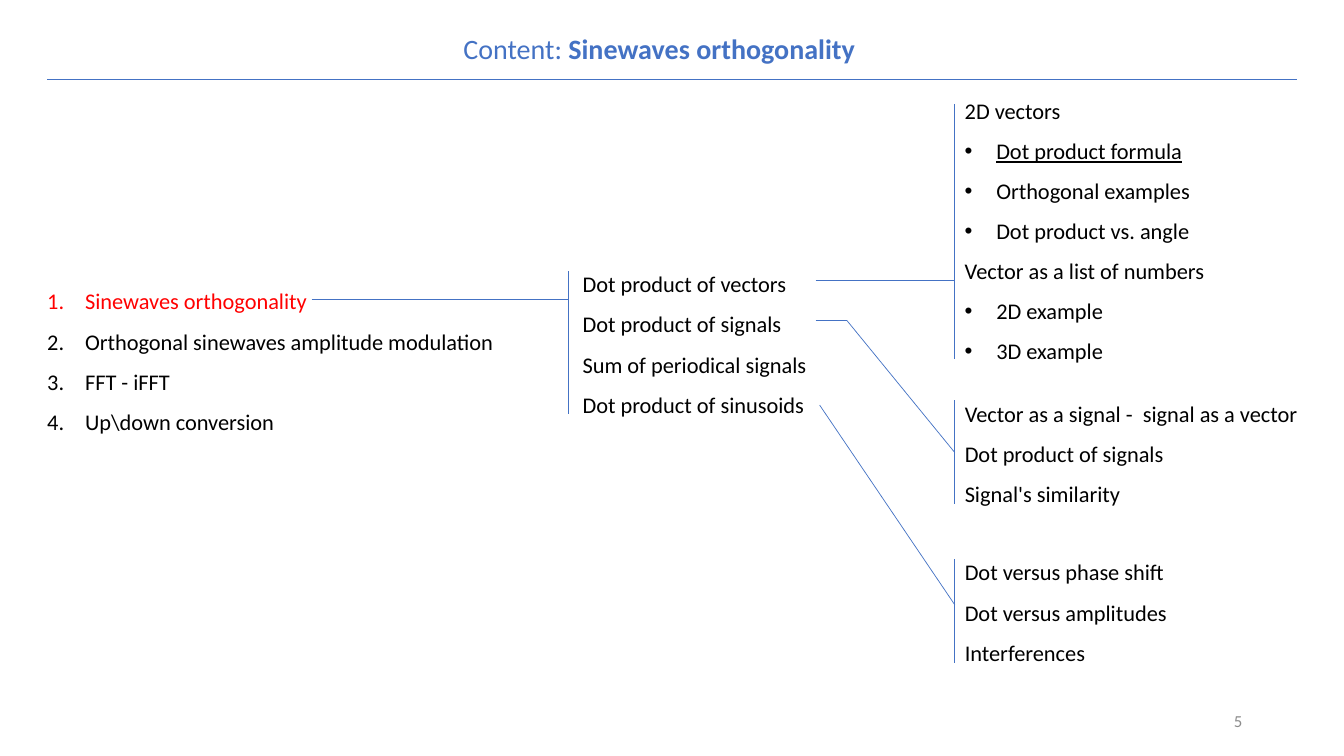
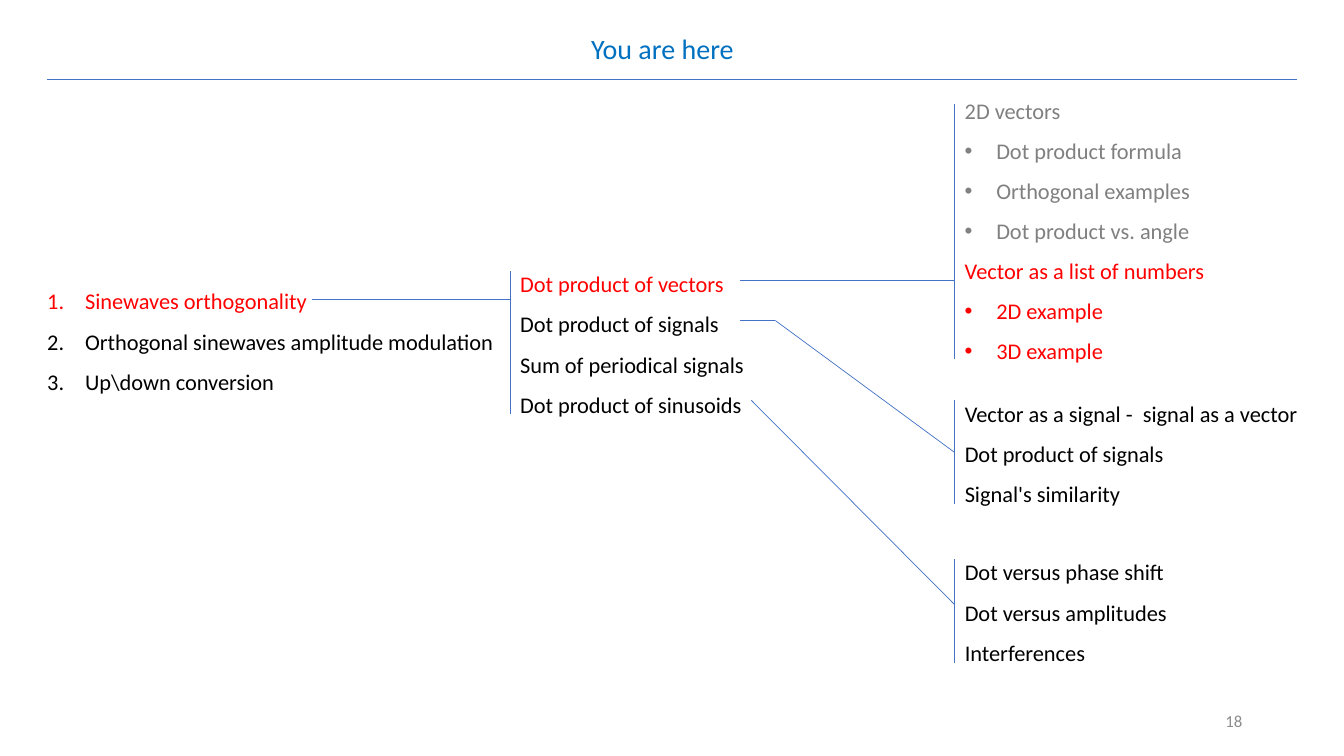
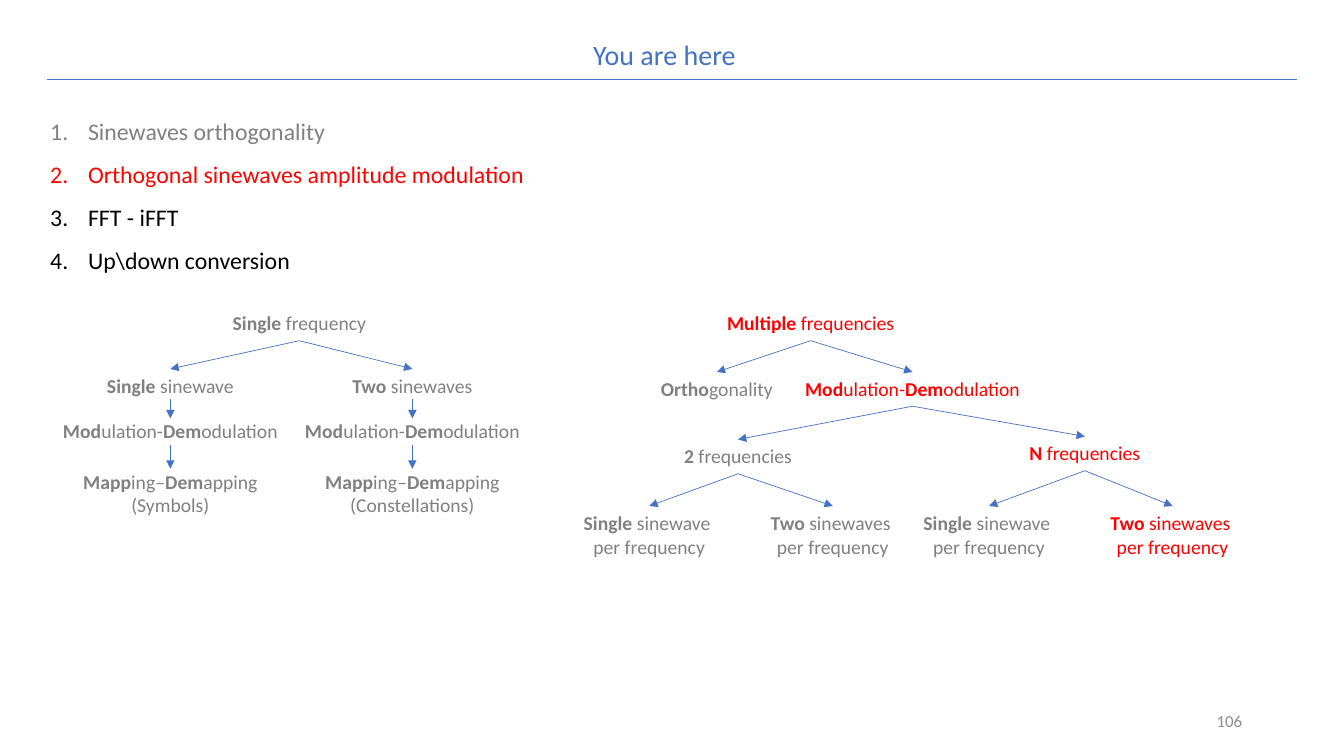
from collections import namedtuple
from dataclasses import dataclass
from itertools import pairwise

from lxml import etree
from pptx import Presentation
from pptx.dml.color import RGBColor
from pptx.enum.shapes import MSO_CONNECTOR
from pptx.enum.text import MSO_ANCHOR, MSO_AUTO_SIZE, PP_ALIGN
from pptx.oxml.ns import qn
from pptx.util import Inches, Pt

STRAIGHT = MSO_CONNECTOR.STRAIGHT
TOP, MIDDLE = MSO_ANCHOR.TOP, MSO_ANCHOR.MIDDLE
NO_FIT = MSO_AUTO_SIZE.NONE
LEFT, CENTER, RIGHT = PP_ALIGN.LEFT, PP_ALIGN.CENTER, PP_ALIGN.RIGHT
TITLE_ONLY = 5
COLUMNS, ROWS = 133.3, 75
CELL = Inches(0.1)


@dataclass(frozen=True)
class Theme:
    font: str = "Calibri"
    accent: str = "4472C4"
    here: str = "0070C0"
    active: str = "FF0000"
    done: str = "808080"
    ink: str = "000000"
    page: str = "8C8C8C"
    title_size: int = 20
    agenda_size: int = 17
    body_size: int = 16
    node_size: int = 14
    page_size: int = 12
    rule: float = 0.5
    hairline: float = 0.25


THEME = Theme()
LOOSE = {"spacing": 1.5}
SPACED = {"spacing": 1.07, "after": 8}
NUMBERED = {"indent": 3.75, "bullet": ("buAutoNum", "type", "arabicPeriod")}
DOTTED = {"indent": 3.13, "bullet": ("buChar", "char", "•")}

Branch = namedtuple("Branch", "text center top width active children", defaults=(False, ()))


def cells(*counts):
    return [round(count * CELL) for count in counts]


def write(frame, text, size=THEME.body_size, color=THEME.ink, align=LEFT, spacing=1.0,
          after=0, indent=0, bullet=None, underline=False):
    """Add one paragraph; parts between asterisks are bold."""
    first = frame.paragraphs[0]
    paragraph = frame.add_paragraph() if first.runs else first
    if bullet:
        tag, key, value = bullet
        properties = paragraph._p.get_or_add_pPr()
        margin = cells(indent)[0]
        properties.set("marL", str(margin))
        properties.set("indent", str(-margin))
        if tag == "buChar":
            etree.SubElement(properties, qn("a:buFont")).set("typeface", "Arial")
        etree.SubElement(properties, qn(f"a:{tag}")).set(key, value)
    paragraph.alignment = align
    paragraph.line_spacing = spacing
    paragraph.space_after = Pt(after)
    for order, part in enumerate(text.split("*")):
        if part:
            run = paragraph.add_run()
            run.text = part
            run.font.name = THEME.font
            run.font.size = Pt(size)
            run.font.bold = order % 2 == 1
            run.font.underline = underline
            run.font.color.rgb = RGBColor.from_string(color)


class Deck:
    def __init__(self, theme):
        self.theme = theme
        self.show = Presentation()
        self.show.slide_width, self.show.slide_height = cells(COLUMNS, ROWS)
        self.slide = None

    def start(self, title, number, color, left=3.7, top=2.4):
        theme = self.theme
        self.slide = self.show.slides.add_slide(self.show.slide_layouts[TITLE_ONLY])
        heading = self.slide.shapes.title
        heading.left, heading.top, heading.width, heading.height = cells(left, top, 124, 4.5)
        self.prepare(heading.text_frame, TOP)
        write(heading.text_frame, title, size=theme.title_size, color=color, align=CENTER, **SPACED)
        self.trace((4.7, 7.9), (128.6, 7.9))
        write(self.box(94.2, 69.5, 30, 4, MIDDLE), str(number), size=theme.page_size,
              color=theme.page, align=RIGHT)

    def prepare(self, frame, anchor):
        frame.word_wrap = True
        frame.auto_size = NO_FIT
        frame.vertical_anchor = anchor

    def box(self, left, top, width, height, anchor=TOP):
        frame = self.slide.shapes.add_textbox(*cells(left, top, width, height)).text_frame
        self.prepare(frame, anchor)
        return frame

    def listing(self, area, items, colors, size=THEME.body_size, underlined=(), **style):
        frame = self.box(*area)
        for item in items:
            dotted = DOTTED if item.startswith("•") else {}
            label = item.removeprefix("•")
            write(frame, label, size=size, color=colors.get(label, self.theme.ink),
                  underline=label in underlined, **{**style, **dotted})

    def trace(self, *points, arrow=False, weight=THEME.rule):
        for start, end in pairwise(points):
            line = self.slide.shapes.add_connector(STRAIGHT, *cells(*start, *end))
            line.line.color.rgb = RGBColor.from_string(self.theme.accent)
            line.line.width = Pt(weight)
            if arrow:
                etree.SubElement(line.line._get_or_add_ln(), qn("a:tailEnd")).set("type", "triangle")
            etree.SubElement(line._element.spPr, qn("a:effectLst"))

    def tree(self, branch):
        theme = self.theme
        lines = branch.text.split("\n")
        height = 3.4 if len(lines) == 1 else 5.7
        frame = self.box(branch.center - branch.width / 2, branch.top, branch.width, height)
        for line in lines:
            write(frame, line, size=theme.node_size, align=CENTER,
                  color=theme.active if branch.active else theme.done)
        chained = len(branch.children) == 1
        overlap = 0.4 if chained else 0
        for child in branch.children:
            self.trace((branch.center, branch.top + height - overlap),
                       (child.center, child.top + overlap),
                       arrow=True, weight=theme.hairline if chained else theme.rule)
            self.tree(child)


CHAPTERS = ["Sinewaves orthogonality", "Orthogonal sinewaves amplitude modulation",
            "FFT - iFFT", "Up\\down conversion"]
TOPICS = ["Dot product of vectors", "Dot product of signals",
          "Sum of periodical signals", "Dot product of sinusoids"]
VECTORS = ["2D vectors", "•Dot product formula", "•Orthogonal examples",
           "•Dot product vs. angle", "Vector as a list of numbers", "•2D example", "•3D example"]
SIGNALS = ["Vector as a signal -  signal as a vector", "Dot product of signals",
           "Signal's similarity"]
SINUSOIDS = ["Dot versus phase shift", "Dot versus amplitudes", "Interferences"]
DETAIL_LEFT = 94.7


def outline(deck, chapters, colors, topics_left, bracket, links, underlined=()):
    deck.listing((3.7, 26.7, 46.7, 4 * len(chapters) + 0.7), chapters, colors, **LOOSE, **NUMBERED)
    deck.listing((topics_left, 25, 37, 16.7), TOPICS, colors, **LOOSE)
    deck.listing((DETAIL_LEFT, 9, 26.7, 27.8), VECTORS, colors, underlined=underlined, **SPACED)
    deck.listing((DETAIL_LEFT, 39, 35.9, 11.8), SIGNALS, colors, **SPACED)
    deck.listing((DETAIL_LEFT, 53.6, 24.8, 12.7), SINUSOIDS, colors, **LOOSE)
    for left, top, bottom in [(bracket, 26.9, 41.1), (DETAIL_LEFT, 10.3, 35.6),
                              (DETAIL_LEFT, 39.7, 50), (DETAIL_LEFT, 55.5, 65.8)]:
        deck.trace((left, top), (left, bottom))
    deck.trace((30.9, 29.7), (bracket, 29.7))
    for starts, row in zip(links, (27.8, 44.9, 60)):
        deck.trace(*starts, (DETAIL_LEFT, row))


def chain(center, opening, result):
    mapping = Branch(f"*Mapp*ing–*Dem*apping\n({result})", center, 46.1, 20.5)
    modulation = Branch("*Mod*ulation-*Dem*odulation", center, 41.1, 24, children=(mapping,))
    return Branch(opening, center, 36.6, 15.6, children=(modulation,))


def per_frequency(opening, center, width, active=False):
    return Branch(f"{opening} \nper frequency", center, 50.2, width, active)


def main():
    deck = Deck(THEME)
    active, done = THEME.active, THEME.done

    deck.start("Content: *Sinewaves orthogonality *", 5, THEME.accent)
    outline(deck, CHAPTERS, {CHAPTERS[0]: active}, 56.8, 56.4,
            [[(80.9, 27.8)], [(80.9, 31.8), (84, 31.8)], [(81.3, 40.2)]],
            underlined={"Dot product formula"})

    deck.start("You are here", 18, THEME.here)
    details = [item.removeprefix("•") for item in VECTORS]
    colors = {**dict.fromkeys(details[:4], done), **dict.fromkeys(details[4:], active),
              CHAPTERS[0]: active, TOPICS[0]: active}
    outline(deck, CHAPTERS[:2] + CHAPTERS[3:], colors, 50.6, 50.6,
            [[(73.4, 27.8)], [(73.4, 31.8), (76.9, 31.8)], [(74.5, 39.7)]])

    deck.start("You are here", 106, THEME.accent, left=3.9, top=3)
    deck.listing((4, 9.7, 50, 17.7), CHAPTERS, {CHAPTERS[0]: done, CHAPTERS[1]: active},
                 size=THEME.agenda_size, **LOOSE, **NUMBERED)
    deck.tree(Branch("*Single* frequency", 29.7, 30.4, 17, children=(
        chain(16.9, "*Single* sinewave", "Symbols"),
        chain(40.9, "*Two* sinewaves", "Constellations"))))
    two_frequencies = Branch("*2* frequencies", 73.2, 43.6, 13.7, children=(
        per_frequency("*Single* sinewave", 64.4, 15.3),
        per_frequency("*Two* sinewaves", 82.6, 15.5)))
    many_frequencies = Branch("*N* frequencies", 107.6, 43.3, 15.3, True, (
        per_frequency("*Single* sinewave", 98.1, 16.6),
        per_frequency("*Two* sinewaves", 116.3, 14.5, True)))
    modulation = Branch("*Mod*ulation-*Dem*odulation", 90.5, 36.9, 23.8, True,
                        (two_frequencies, many_frequencies))
    deck.tree(Branch("*Multiple* frequencies", 80.4, 30.4, 18.7, True, (
        Branch("*Ortho*gonality", 71.1, 36.9, 13.7), modulation)))

    deck.show.save("out.pptx")


if __name__ == "__main__":
    main()
